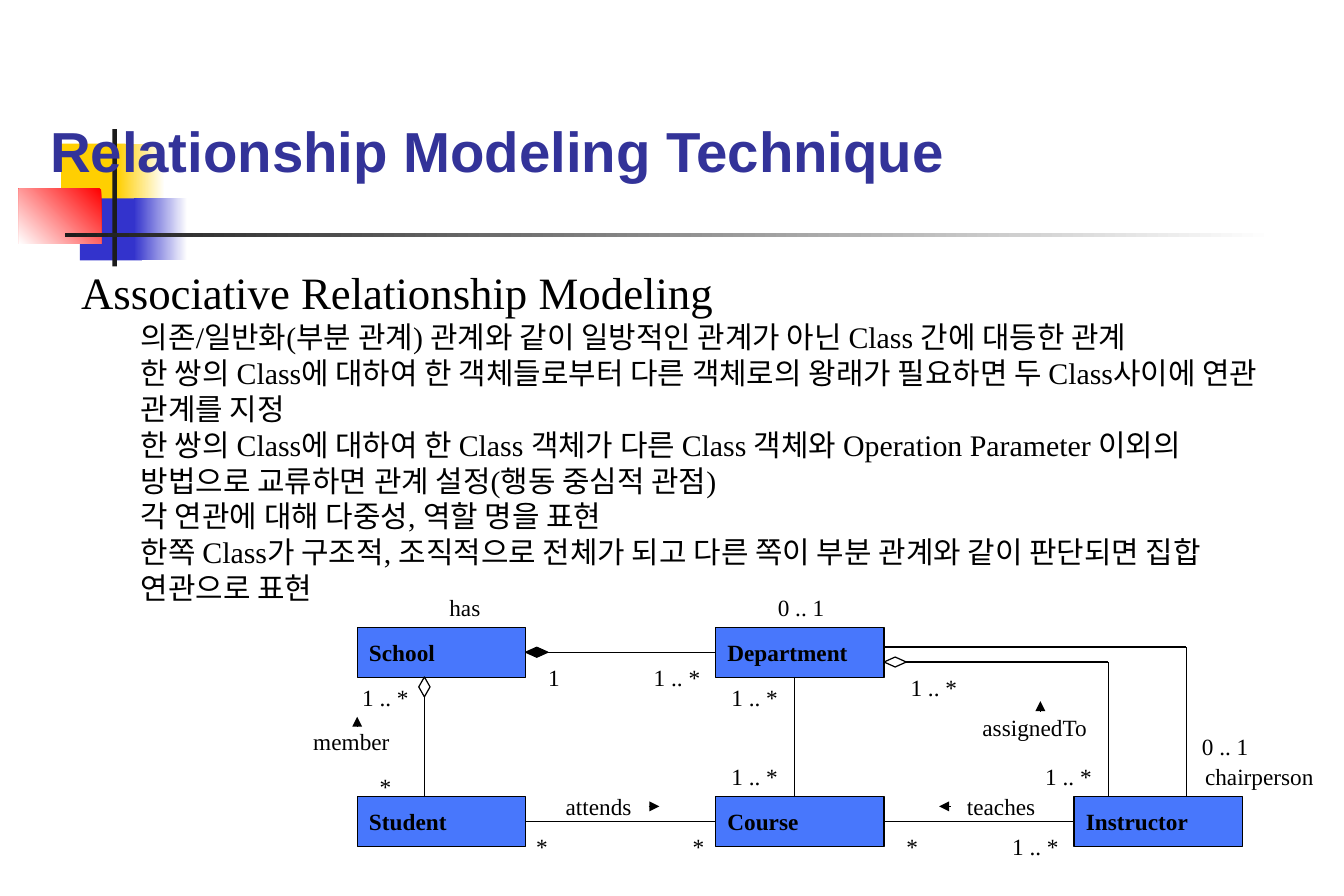
from dataclasses import dataclass

from lxml.etree import SubElement
from pptx import Presentation
from pptx.dml.color import RGBColor
from pptx.enum.shapes import MSO_CONNECTOR, MSO_SHAPE
from pptx.enum.text import MSO_ANCHOR, MSO_AUTO_SIZE, PP_ALIGN
from pptx.oxml.ns import qn
from pptx.util import Pt


@dataclass(frozen=True)
class Theme:
    black: RGBColor = RGBColor.from_string("000000")
    white: RGBColor = RGBColor.from_string("FFFFFF")
    yellow: RGBColor = RGBColor.from_string("FFCF01")
    blue: RGBColor = RGBColor.from_string("3333CC")
    red: RGBColor = RGBColor.from_string("FF0000")
    dark: RGBColor = RGBColor.from_string("1C1C1C")
    title: RGBColor = RGBColor.from_string("333399")
    box: RGBColor = RGBColor.from_string("4877FC")
    serif: str = "Times New Roman"
    sans: str = "Arial"
    title_size: int = 34
    heading_size: int = 27
    body_size: int = 18
    label_size: int = 14
    line_width: float = 0.75


T = Theme()


def write(p, text, size=T.label_size, font=T.serif, color=T.black, bold=False,
          align=PP_ALIGN.LEFT):
    p.alignment = align
    r = p.add_run()
    r.text = text
    r.font.size = Pt(size)
    r.font.name = font
    r.font.color.rgb = color
    r.font.bold = bold


def add_line(x1, y1, x2, y2, arrow=False):
    ln = slide.shapes.add_connector(MSO_CONNECTOR.STRAIGHT, Pt(x1), Pt(y1), Pt(x2), Pt(y2))
    ln.line.color.rgb = T.black
    ln.line.width = Pt(T.line_width)
    sppr = ln.element.spPr
    if arrow:
        SubElement(sppr.find(qn("a:ln")), qn("a:tailEnd"), type="triangle")
    SubElement(sppr, qn("a:effectLst"))
    return ln


prs = Presentation()
prs.slide_width, prs.slide_height = Pt(810), Pt(540)
slide = prs.slides.add_slide(prs.slide_layouts[5])

# Corner ornament: one colour is solid, two colours are a gradient at an angle
for x, y, w, h, colors, angle in [
    (36.8, 86.5, 38.9, 37.4, [T.yellow], 0),
    (70.6, 86.5, 28.8, 37.4, [T.white, T.yellow], 180),
    (48.2, 119.5, 37.4, 37.4, [T.blue], 0),
    (80.6, 119.5, 32.4, 37.4, [T.white, T.blue], 180),
    (11.3, 113.8, 49.7, 33.1, [T.red, T.white], 225),
    (67.7, 77.8, 2.8, 82.8, [T.dark], 0),
    (39.4, 140.4, 728.6, 2.4, [T.white, T.dark], 180),
]:
    sp = slide.shapes.add_shape(MSO_SHAPE.RECTANGLE, Pt(x), Pt(y), Pt(w), Pt(h))
    sp.shadow.inherit = False
    sp.line.fill.background()
    if len(colors) == 1:
        sp.fill.solid()
        sp.fill.fore_color.rgb = colors[0]
    else:
        sp.fill.gradient()
        sp.fill.gradient_angle = angle
        for stop, color in zip(sp.fill.gradient_stops, colors):
            stop.color.rgb = color

# Title, in front of the ornament
title = slide.shapes.title
title.left, title.top, title.width, title.height = Pt(23), Pt(24.2), Pt(655.2), Pt(90)
tf = title.text_frame
tf.auto_size = MSO_AUTO_SIZE.NONE
tf.vertical_anchor = MSO_ANCHOR.BOTTOM
tf.paragraphs[0].line_spacing = 1.04
write(tf.paragraphs[0], "Relationship Modeling Technique", size=T.title_size,
      font=T.sans, color=T.title, bold=True)
slide.shapes.element.append(title.element)

# Body text
tf = slide.shapes.add_textbox(Pt(41.8), Pt(156.2), Pt(728), Pt(228.2)).text_frame
tf.word_wrap = True
write(tf.paragraphs[0], "Associative Relationship Modeling", size=T.heading_size)
for text in [
    "의존/일반화(부분 관계) 관계와 같이 일방적인 관계가 아닌 Class 간에 대등한 관계",
    "한 쌍의 Class에 대하여 한 객체들로부터 다른 객체로의 왕래가 필요하면 두 Class사이에 연관 관계를 지정",
    "한 쌍의 Class에 대하여 한 Class 객체가 다른 Class 객체와 Operation Parameter 이외의 "
    "방법으로 교류하면 관계 설정(행동 중심적 관점)",
    "각 연관에 대해 다중성, 역할 명을 표현",
    "한쪽 Class가 구조적, 조직적으로 전체가 되고 다른 쪽이 부분 관계와 같이 판단되면 집합 연관으로 표현",
]:
    p = tf.add_paragraph()
    p.level = 1
    ppr = p._p.get_or_add_pPr()
    ppr.set("marL", str(Pt(36)))
    ppr.set("indent", "0")
    write(p, text, size=T.body_size)

# Class boxes on a grid of columns and rows
boxes = {}
for name, col, row in [("Department", 1, 0), ("School", 0, 0), ("Student", 0, 1),
                       ("Course", 1, 1), ("Instructor", 2, 1)]:
    sp = slide.shapes.add_shape(MSO_SHAPE.RECTANGLE, Pt(215.3 + 216 * col),
                                Pt(378 + 102 * row), Pt(101.5), Pt(30.2))
    sp.shadow.inherit = False
    sp.fill.solid()
    sp.fill.fore_color.rgb = T.box
    sp.line.color.rgb = T.black
    sp.line.width = Pt(T.line_width)
    tf = sp.text_frame
    tf.word_wrap = False
    tf.vertical_anchor = MSO_ANCHOR.MIDDLE
    write(tf.paragraphs[0], name, bold=True)
    boxes[name] = sp

# Aggregation and composition diamonds
diamonds = {}
for name, x, y, w, h, filled in [
    ("member", 252.4, 408, 6.8, 12, False),
    ("has", 316.8, 390.1, 13.4, 6, True),
    ("assignedTo", 532.8, 396, 13.4, 6, False),
]:
    sp = slide.shapes.add_shape(MSO_SHAPE.DIAMOND, Pt(x), Pt(y), Pt(w), Pt(h))
    sp.shadow.inherit = False
    if filled:
        sp.fill.solid()
        sp.fill.fore_color.rgb = T.black
    else:
        sp.fill.background()
    sp.line.color.rgb = T.black
    sp.line.width = Pt(T.line_width)
    diamonds[name] = sp

# Associations joined at the middle of both sides
for start, end in [(diamonds["has"], boxes["Department"]),
                   (boxes["Student"], boxes["Course"]),
                   (boxes["Course"], boxes["Instructor"])]:
    ln = add_line(0, 0, 0, 0)
    ln.begin_connect(start, 3)
    ln.end_connect(end, 1)

# Associations that meet a side off its middle
add_line(255.8, 420, 255.8, 480).begin_connect(diamonds["member"], 2)
add_line(546.2, 399, 668, 399).begin_connect(diamonds["assignedTo"], 3)
for ends in [(668, 399, 668, 480), (478.8, 408, 478.8, 480),
             (532.8, 390, 715, 390), (715, 390, 715, 480)]:
    add_line(*ends)

# Reading-direction arrows
for ends in [(215.3, 438, 215.3, 432), (627, 429, 627, 422.6),
             (391, 486, 397.4, 486), (573, 486, 566, 486)]:
    add_line(*ends, arrow=True)

# Role names and multiplicities: text, centre, top
for text, cx, y in [
    ("member", 211.8, 435), ("1 .. *", 232.3, 408), ("*", 232.3, 462),
    ("has", 280.2, 354), ("1 .. *", 408, 396), ("1", 333.8, 396),
    ("1 .. *", 454.8, 408), ("1 .. *", 454.8, 456), ("1 .. *", 624, 498),
    ("1 .. *", 644, 456), ("*", 326.6, 498), ("*", 420.9, 498),
    ("1 .. *", 562.8, 402), ("0 .. 1", 482.8, 354), ("0 .. 1", 738.4, 438),
    ("attends", 360.8, 474), ("teaches", 603.4, 474), ("assignedTo", 623.6, 426),
    ("chairperson", 759, 456), ("*", 549.8, 498),
]:
    w = 88 if text.isalpha() else 54
    tf = slide.shapes.add_textbox(Pt(cx - w / 2), Pt(y), Pt(w), Pt(24)).text_frame
    tf.word_wrap = False
    tf.vertical_anchor = MSO_ANCHOR.MIDDLE
    write(tf.paragraphs[0], text, align=PP_ALIGN.CENTER)

prs.save("out.pptx")
